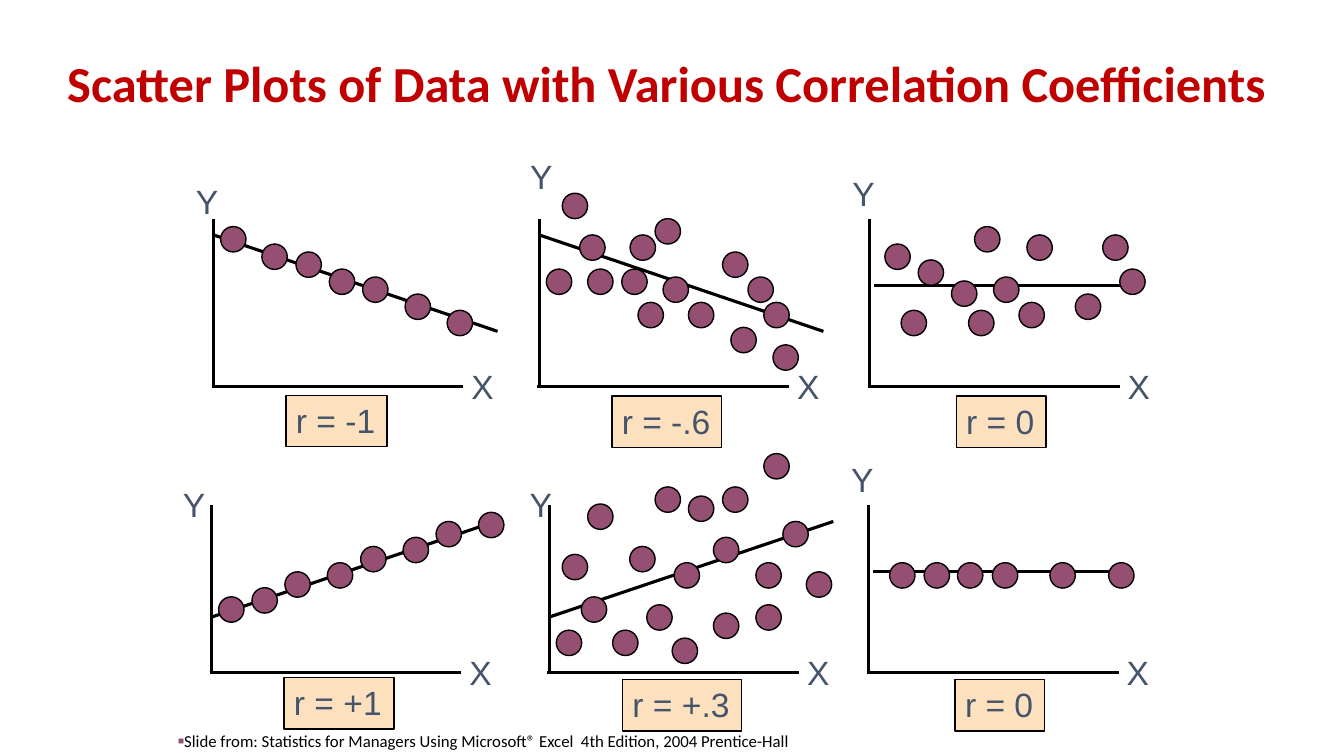
from collections import namedtuple

from pptx import Presentation
from pptx.dml.color import RGBColor
from pptx.enum import shapes, text
from pptx.oxml.ns import qn
from pptx.util import Cm, Pt

RED = RGBColor(0xC0, 0x00, 0x00)
SLATE = RGBColor(0x44, 0x54, 0x6A)
PLUM = RGBColor(0x95, 0x4F, 0x72)
PEACH = RGBColor(0xFD, 0xE0, 0xBD)
BLACK = RGBColor(0x00, 0x00, 0x00)

# All panel lengths are in cm; points are measured from the top of the Y axis.
AXIS_W, AXIS_H = 6.35, 4.22
DOT = 0.64
LABEL_W, LABEL_H = 1.07, 1.27
R_BOX_H = 1.3
ROW_TOPS = (5.51, 12.73)
FALLING = ((0, 0.41), (7.16, 2.84))
RISING = ((0, 2.82), (7.16, 0.41))
FLAT = ((0.1, 1.68), (6.45, 1.68))

# r_box is (left, top, width); y_label and dots are (left, top).
Panel = namedtuple("Panel", "row left r r_box y_label trend dots")
PANELS = [
    Panel(0, 5.38, "r = -1", (1.83, 4.45, 2.54), (-0.69, -1.07), FALLING,
          [(0.18, 0.2), (1.22, 0.64), (2.08, 0.84), (2.92, 1.27),
           (3.76, 1.47), (4.83, 1.9), (5.89, 2.31)]),
    Panel(0, 13.59, "r = -.6", (1.83, 4.47, 2.77), (-0.48, -1.7), FALLING,
          [(0.18, 1.27), (0.58, -0.64), (1.02, 0.41), (1.22, 1.27),
           (2.08, 1.27), (2.29, 0.41), (2.49, 2.11), (2.92, 0),
           (3.12, 1.47), (3.76, 2.11), (4.62, 0.84), (4.83, 2.74),
           (5.26, 1.47), (5.66, 2.11), (5.89, 3.18)]),
    Panel(0, 21.92, "r = 0", (2.18, 4.47, 2.26), (-0.69, -1.27), FLAT,
          [(0.38, 0.64), (0.79, 2.31), (1.22, 1.04), (2.06, 1.57),
           (2.49, 2.31), (2.64, 0.2), (3.12, 1.47), (3.76, 2.11),
           (3.96, 0.41), (5.18, 1.9), (5.87, 0.41), (6.3, 1.27)]),
    Panel(1, 5.33, "r = +1", (1.83, 4.34, 2.77), (-0.97, -0.66), RISING,
          [(0.18, 2.31), (1.02, 2.08), (1.85, 1.68), (2.92, 1.45),
           (3.76, 1.04), (4.83, 0.81), (5.66, 0.41), (6.73, 0.18)]),
    Panel(1, 13.84, "r = +.3", (1.85, 4.39, 3), (-0.74, -0.66), RISING,
          [(0.18, 3.15), (0.33, 1.24), (0.81, 2.31), (0.97, -0.03),
           (1.6, 3.15), (2.03, 1.04), (2.46, 2.51), (2.67, -0.46),
           (3.1, 3.35), (3.15, 1.45), (3.51, -0.23), (4.14, 0.81),
           (4.14, 2.72), (4.37, -0.46), (5.21, 1.45), (5.21, 2.51),
           (5.41, -1.3), (5.89, 0.41), (6.48, 1.68)]),
    Panel(1, 21.89, "r = 0", (2.18, 4.39, 2.26), (-0.69, -1.3), FLAT,
          [(x, 1.45) for x in (0.53, 1.4, 2.24, 3.12, 4.57, 6.05)]),
]


def write(sp, words, size, font, color, bold=False):
    tf = sp.text_frame
    tf.text = words
    p = tf.paragraphs[0]
    p.alignment = text.PP_ALIGN.LEFT
    f = p.runs[0].font
    f.size, f.name, f.bold = Pt(size), font, bold
    f.color.rgb = color
    return p


def add_label(slide, words, left, top):
    sp = slide.shapes.add_textbox(Cm(left), Cm(top), Cm(LABEL_W), Cm(LABEL_H))
    fit_to_text(sp.text_frame)
    write(sp, words, 24, "Arial", SLATE)


def fit_to_text(tf):
    tf.word_wrap = False
    tf.auto_size = text.MSO_AUTO_SIZE.SHAPE_TO_FIT_TEXT


def add_line(slide, start, end, width):
    line = slide.shapes.add_connector(shapes.MSO_CONNECTOR.STRAIGHT,
                                      *(Cm(v) for v in (*start, *end)))
    line.line.color.rgb = BLACK
    line.line.width = Pt(width)
    line._element.spPr.append(
        line._element.makeelement(qn("a:effectLst"), {}))


def add_outlined(slide, kind, left, top, width, height, fill):
    sp = slide.shapes.add_shape(kind, Cm(left), Cm(top), Cm(width), Cm(height))
    sp.shadow.inherit = False
    sp.fill.solid()
    sp.fill.fore_color.rgb = fill
    sp.line.color.rgb = BLACK
    sp.line.width = Pt(1)
    return sp


def add_scatter(slide, panel, left, top):
    """Draw one scatter plot whose Y axis starts at left, top."""
    def at(point):
        return left + point[0], top + point[1]

    add_line(slide, at((0, 0)), at((0, AXIS_H)), 2)
    add_line(slide, at((-0.05, AXIS_H)), at((AXIS_W - 0.05, AXIS_H)), 2)
    add_line(slide, *map(at, panel.trend), 2.25)
    add_label(slide, "Y", *at(panel.y_label))
    add_label(slide, "X", *at((6.25, 3.58)))
    for dot in panel.dots:
        add_outlined(slide, shapes.MSO_SHAPE.OVAL, *at(dot), DOT, DOT, PLUM)

    x, y, width = panel.r_box
    sp = add_outlined(slide, shapes.MSO_SHAPE.RECTANGLE, *at((x, y)),
                      width, R_BOX_H, PEACH)
    fit_to_text(sp.text_frame)
    sp.text_frame.vertical_anchor = text.MSO_ANCHOR.TOP
    write(sp, panel.r, 24, "Arial", SLATE)


def add_title(slide, left, top, width, height):
    sp = slide.shapes.add_textbox(Cm(left), Cm(top), Cm(width), Cm(height))
    sp.text_frame.word_wrap = True
    sp.text_frame.vertical_anchor = text.MSO_ANCHOR.MIDDLE
    p = write(sp, "Scatter Plots of Data with Various Correlation Coefficients",
              36, "Calibri", RED, bold=True)
    p.alignment = text.PP_ALIGN.CENTER
    p.line_spacing = 0.8


def add_source(slide, left, top, width, height):
    sp = slide.shapes.add_textbox(Cm(left), Cm(top), Cm(width), Cm(height))
    sp.text_frame.word_wrap = True
    p = write(sp, "Slide from: Statistics for Managers Using Microsoft® Excel"
              "  4th Edition, 2004 Prentice-Hall", 12, "Calibri", BLACK)
    pPr = p._p.get_or_add_pPr()
    color = pPr.makeelement(qn("a:buClr"), {})
    color.append(color.makeelement(qn("a:srgbClr"), {"val": str(PLUM)}))
    pPr.append(color)
    for tag, attrs in (("a:buSzPct", {"val": "60000"}),
                       ("a:buFont", {"typeface": "Arial"}),
                       ("a:buChar", {"char": "■"})):
        pPr.append(pPr.makeelement(qn(tag), attrs))


def main():
    prs = Presentation()
    prs.slide_width, prs.slide_height = Cm(33.87), Cm(19.05)
    slide = prs.slides.add_slide(prs.slide_layouts[6])
    add_title(slide, 0.28, 0.64, 33.05, 3.18)
    for panel in PANELS:
        add_scatter(slide, panel, panel.left, ROW_TOPS[panel.row])
    add_source(slide, 4.24, 18.29, 16.46, 0.76)
    prs.save("out.pptx")


if __name__ == "__main__":
    main()
